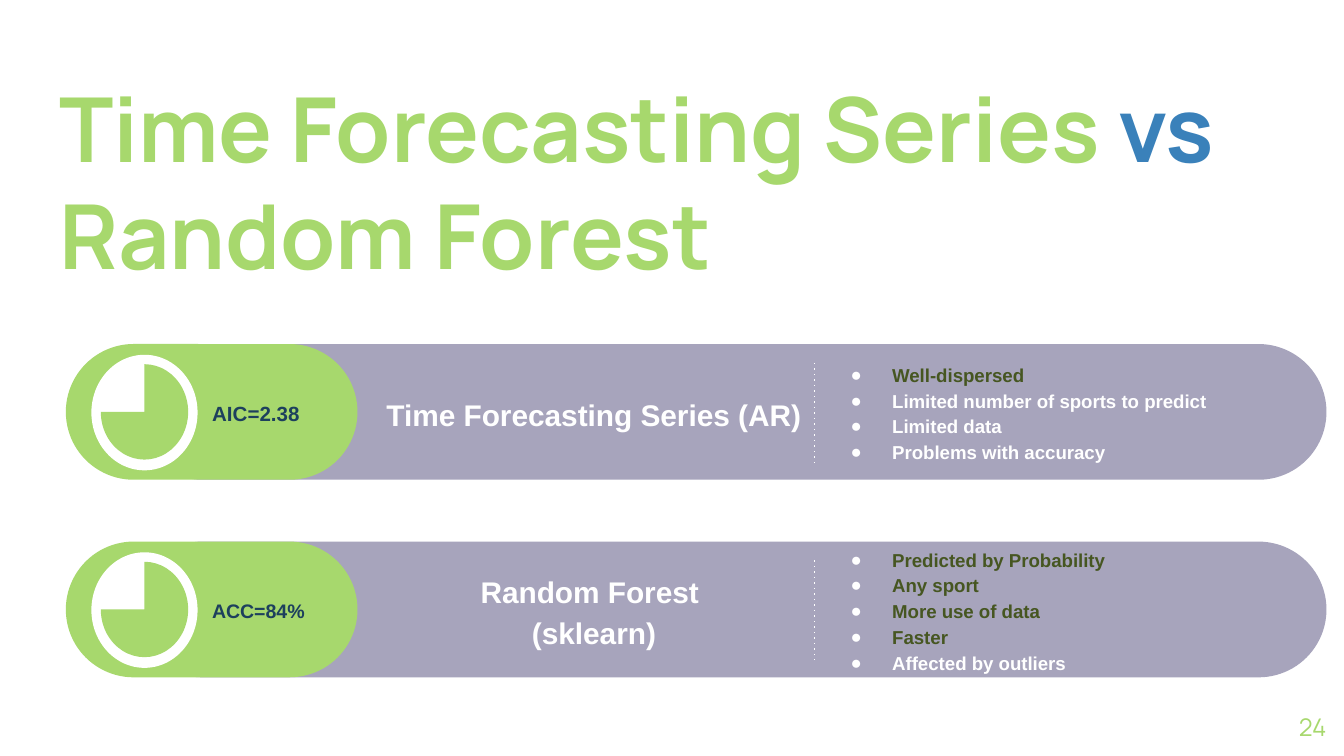
from lxml import etree
from pptx import Presentation
from pptx.dml.color import RGBColor
from pptx.enum.dml import MSO_LINE
from pptx.enum.shapes import MSO_CONNECTOR, MSO_SHAPE
from pptx.enum.text import MSO_ANCHOR, MSO_AUTO_SIZE, PP_ALIGN
from pptx.oxml.ns import qn
from pptx.util import Inches, Pt

COLORS = {"green": "A7D86D", "blue": "3A81BA", "lilac": "A7A4BC",
          "olive": "465621", "navy": "1D405D", "white": "FFFFFF"}


def rgb(name):
    return RGBColor.from_string(COLORS[name])


def write(sp, lines, size, font="Arial", bold=True, align=PP_ALIGN.LEFT,
          anchor=MSO_ANCHOR.MIDDLE, inset=0.1, spacing=None, left=0, bullet=False):
    tf = sp.text_frame
    tf.word_wrap = True
    tf.auto_size = MSO_AUTO_SIZE.NONE
    tf.vertical_anchor = anchor
    tf.margin_left = tf.margin_right = tf.margin_top = tf.margin_bottom = Inches(inset)
    for i, runs in enumerate(lines):
        p = tf.add_paragraph() if i else tf.paragraphs[0]
        p.alignment = align
        p.line_spacing = spacing
        if left:
            pPr = p._p.get_or_add_pPr()
            pPr.set("marL", str(Inches(left)))
            pPr.set("indent", str(Inches(-0.31 if bullet else 0)))
            if bullet:
                buClr = etree.SubElement(pPr, qn("a:buClr"))
                etree.SubElement(buClr, qn("a:srgbClr")).set("val", COLORS["white"])
                etree.SubElement(pPr, qn("a:buSzPts")).set("val", str(size * 100))
                etree.SubElement(pPr, qn("a:buFont")).set("typeface", font)
                etree.SubElement(pPr, qn("a:buChar")).set("char", "●")
        for text, color in runs:
            if text == "\n":
                p.add_line_break()
                continue
            r = p.add_run()
            r.text = text
            r.font.name = font
            r.font.size = Pt(size)
            r.font.bold = bold
            r.font.color.rgb = rgb(color)


prs = Presentation()
prs.slide_width = Inches(10)
prs.slide_height = prs.slide_width * 9 // 16
s = prs.slides.add_slide(prs.slide_layouts[5])

title = s.shapes.title
title.left, title.top, title.width, title.height = map(Inches, (0.44, 0.15, 9.43, 1.99))
write(title, [[("Time Forecasting Series ", "green"), ("vs", "blue"), ("\n", "blue"),
               ("Random Forest", "green")]],
      48, font="Manrope", anchor=MSO_ANCHOR.BOTTOM, inset=0)

number = s.shapes.add_textbox(Inches(9.27), Inches(5.19), Inches(0.6), Inches(0.43))
write(number, [[("24", "green")]], 13, font="Manrope", bold=False,
      align=PP_ALIGN.RIGHT, inset=0)

models = [
    (["Time Forecasting Series (AR)"], "AIC=2.38", 11,
     [("Well-dispersed", "olive"), ("Limited number of sports to predict", "white"),
      ("Limited data", "white"), ("Problems with accuracy", "white")]),
    (["Random Forest ", "(sklearn)"], "ACC=84%", 10.5,
     [("Predicted by Probability", "olive"), ("Any sport", "olive"),
      ("More use of data", "olive"), ("Faster", "olive"),
      ("Affected by outliers", "white")]),
]
parts = [
    (MSO_SHAPE.ROUNDED_RECTANGLE, "lilac", 1, 0, 8.87, 1.01, [0.5]),
    (MSO_SHAPE.ROUNDED_RECTANGLE, "green", 0.49, 0, 2.17, 1.01, [0.5]),
    (MSO_SHAPE.OVAL, "white", 0.68, 0.08, 0.79, 0.86, []),
    (MSO_SHAPE.PIE, "green", 0.75, 0.15, 0.65, 0.71, [162, 108]),
]

for row, (names, score, score_size, points) in enumerate(models):
    top = 2.56 + 1.47 * row
    for kind, color, x, dy, w, h, adjustments in parts:
        sp = s.shapes.add_shape(kind, Inches(x), Inches(top + dy), Inches(w), Inches(h))
        sp.shadow.inherit = False
        sp.fill.solid()
        sp.fill.fore_color.rgb = rgb(color)
        sp.line.fill.background()
        for i, value in enumerate(adjustments):
            sp.adjustments[i] = value

    sp = s.shapes.add_textbox(Inches(6.04), Inches(top - 0.04), Inches(3.53), Inches(1.09))
    write(sp, [[point] for point in points], 10, spacing=1.15, left=0.5, bullet=True)
    sp = s.shapes.add_textbox(Inches(2.56), Inches(top - 0.04), Inches(3.53), Inches(1.09))
    write(sp, [[(name, "white")] for name in names], 16, align=PP_ALIGN.CENTER,
          spacing=1.15, left=0.19)
    sp = s.shapes.add_textbox(Inches(1.48), Inches(top + 0.19), Inches(0.92), Inches(0.65))
    write(sp, [[(score, "navy")]], score_size)

    divider = s.shapes.add_connector(MSO_CONNECTOR.STRAIGHT, Inches(6.06), Inches(top + 0.14),
                                     Inches(6.06), Inches(top + 0.88))
    divider.line.color.rgb = rgb("white")
    divider.line.width = Pt(0.75)
    divider.line.dash_style = MSO_LINE.ROUND_DOT
    spPr = divider._element.spPr
    spPr.find(qn("a:ln")).find(qn("a:prstDash")).set("val", "dot")
    etree.SubElement(spPr, qn("a:effectLst"))

prs.save("out.pptx")
